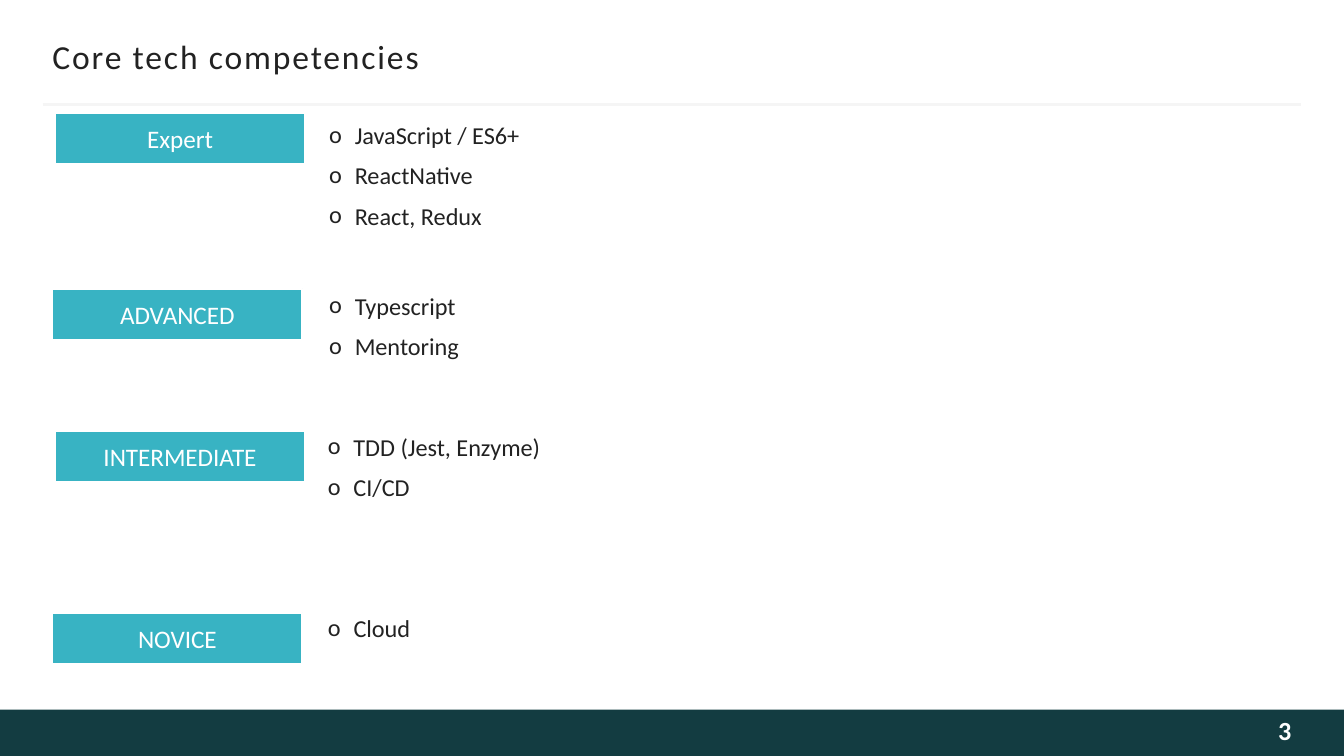
from dataclasses import dataclass

from lxml.etree import SubElement
from pptx import Presentation
from pptx.dml.color import RGBColor
from pptx.enum.shapes import MSO_CONNECTOR, MSO_SHAPE
from pptx.enum.text import MSO_ANCHOR, MSO_AUTO_SIZE, PP_ALIGN
from pptx.oxml.ns import qn
from pptx.shapes.autoshape import Shape
from pptx.slide import Slide
from pptx.text.text import TextFrame, _Paragraph, _Run
from pptx.util import Inches, Pt


@dataclass(frozen=True)
class Theme:
    font: str = "Calibri"
    ink: str = "222222"
    white: str = "FFFFFF"
    accent: str = "38B3C3"
    footer: str = "133C41"
    rule: str = "F5F5F5"
    number: str = "FEFEFE"
    title_size: float = 18
    label_size: float = 13.5
    skill_size: float = 13
    number_size: float = 14


@dataclass(frozen=True)
class Level:
    name: str
    label_left: float
    label_top: float
    list_left: float
    list_top: float
    list_width: float
    list_height: float
    skills: tuple[str, ...]


THEME = Theme()
LEVELS = (
    Level("Expert", 0.41, 0.84, 2.45, 0.89, 4.36, 1.13,
          ("JavaScript / ES6+", "ReactNative", "React, Redux")),
    Level("ADVANCED", 0.39, 2.15, 2.45, 2.16, 4.36, 0.65,
          ("Typescript", "Mentoring")),
    Level("INTERMEDIATE", 0.41, 3.21, 2.44, 3.21, 4.37, 0.96,
          ("TDD (Jest, Enzyme)", "CI/CD")),
    Level("NOVICE", 0.39, 4.56, 2.44, 4.56, 4.79, 0.37, ("Cloud",)),
)


def color(value: str) -> RGBColor:
    return RGBColor.from_string(value)


def set_frame(frame: TextFrame, anchor: MSO_ANCHOR, left: float = 0,
              top: float = 0, right: float = 0, bottom: float = 0) -> None:
    frame.word_wrap = True
    frame.auto_size = MSO_AUTO_SIZE.NONE
    frame.vertical_anchor = anchor
    frame.margin_left, frame.margin_right = Inches(left), Inches(right)
    frame.margin_top, frame.margin_bottom = Inches(top), Inches(bottom)


def add_span(para: _Paragraph, text: str, size: float, ink: str,
             bold: bool = False) -> _Run:
    span = para.add_run()
    span.text = text
    span.font.name = THEME.font
    span.font.size = Pt(size)
    span.font.bold = bold
    span.font.color.rgb = color(ink)
    return span


def add_rectangle(page: Slide, left: float, top: float, width: float,
                  height: float, fill: str) -> Shape:
    box = page.shapes.add_shape(MSO_SHAPE.RECTANGLE, Inches(left), Inches(top),
                                Inches(width), Inches(height))
    box.shadow.inherit = False
    box.fill.solid()
    box.fill.fore_color.rgb = color(fill)
    box.line.fill.background()
    return box


def add_rule(page: Slide) -> None:
    rule = page.shapes.add_connector(MSO_CONNECTOR.STRAIGHT, Inches(0.32),
                                     Inches(0.78), Inches(9.68), Inches(0.78))
    rule.line.color.rgb = color(THEME.rule)
    rule.line.width = Pt(1.5)
    SubElement(rule.element.spPr, qn("a:effectLst"))


def set_title(page: Slide, text: str) -> None:
    title = page.shapes.title
    title.left, title.top = Inches(0.39), Inches(0.25)
    title.width, title.height = Inches(9.22), Inches(0.33)
    set_frame(title.text_frame, MSO_ANCHOR.MIDDLE, top=0.05, bottom=0.05)
    para = title.text_frame.paragraphs[0]
    para.alignment = PP_ALIGN.LEFT
    span = add_span(para, text, THEME.title_size, THEME.ink)
    span.font._element.set("spc", "100")


def add_page_number(page: Slide, number: str) -> None:
    box = page.shapes.add_textbox(Inches(8.11), Inches(5.28), Inches(1.5), Inches(0.35))
    set_frame(box.text_frame, MSO_ANCHOR.MIDDLE, 0.1, 0.05, 0, 0.09)
    para = box.text_frame.paragraphs[0]
    para.alignment = PP_ALIGN.RIGHT
    add_span(para, number, THEME.number_size, THEME.number, bold=True)


def add_label(page: Slide, level: Level) -> None:
    box = add_rectangle(page, level.label_left, level.label_top, 1.86, 0.38, THEME.accent)
    box.line.color.rgb = color(THEME.white)
    box.line.width = Pt(1)
    set_frame(box.text_frame, MSO_ANCHOR.MIDDLE, 0.1, 0.05, 0.1, 0.05)
    para = box.text_frame.paragraphs[0]
    para.alignment = PP_ALIGN.CENTER
    add_span(para, level.name, THEME.label_size, THEME.white)


def set_bullet(para: _Paragraph) -> None:
    para.line_spacing = Pt(16)
    para.space_before = Pt(2.6)
    para.space_after = Pt(3)
    properties = para._p.get_or_add_pPr()
    properties.set("marL", str(Inches(0.19)))
    properties.set("indent", str(-Inches(0.19)))
    SubElement(properties, qn("a:buFont")).set("typeface", THEME.font)
    SubElement(properties, qn("a:buChar")).set("char", "o")


def add_skills(page: Slide, level: Level) -> None:
    box = page.shapes.add_textbox(Inches(level.list_left), Inches(level.list_top),
                                  Inches(level.list_width), Inches(level.list_height))
    frame = box.text_frame
    set_frame(frame, MSO_ANCHOR.TOP)
    for index, skill in enumerate(level.skills):
        para = frame.add_paragraph() if index else frame.paragraphs[0]
        set_bullet(para)
        add_span(para, skill, THEME.skill_size, THEME.ink)


def main() -> None:
    deck = Presentation()
    deck.slide_width, deck.slide_height = Inches(10), Inches(10 * 9 / 16)
    page = deck.slides.add_slide(deck.slide_layouts[5])
    page.background.fill.solid()
    page.background.fill.fore_color.rgb = color(THEME.white)
    add_rectangle(page, 0, 5.28, 10, 0.35, THEME.footer)
    add_rule(page)
    set_title(page, "Core tech competencies")
    add_page_number(page, "3")
    for level in LEVELS:
        add_label(page, level)
        add_skills(page, level)
    deck.save("out.pptx")


if __name__ == "__main__":
    main()
